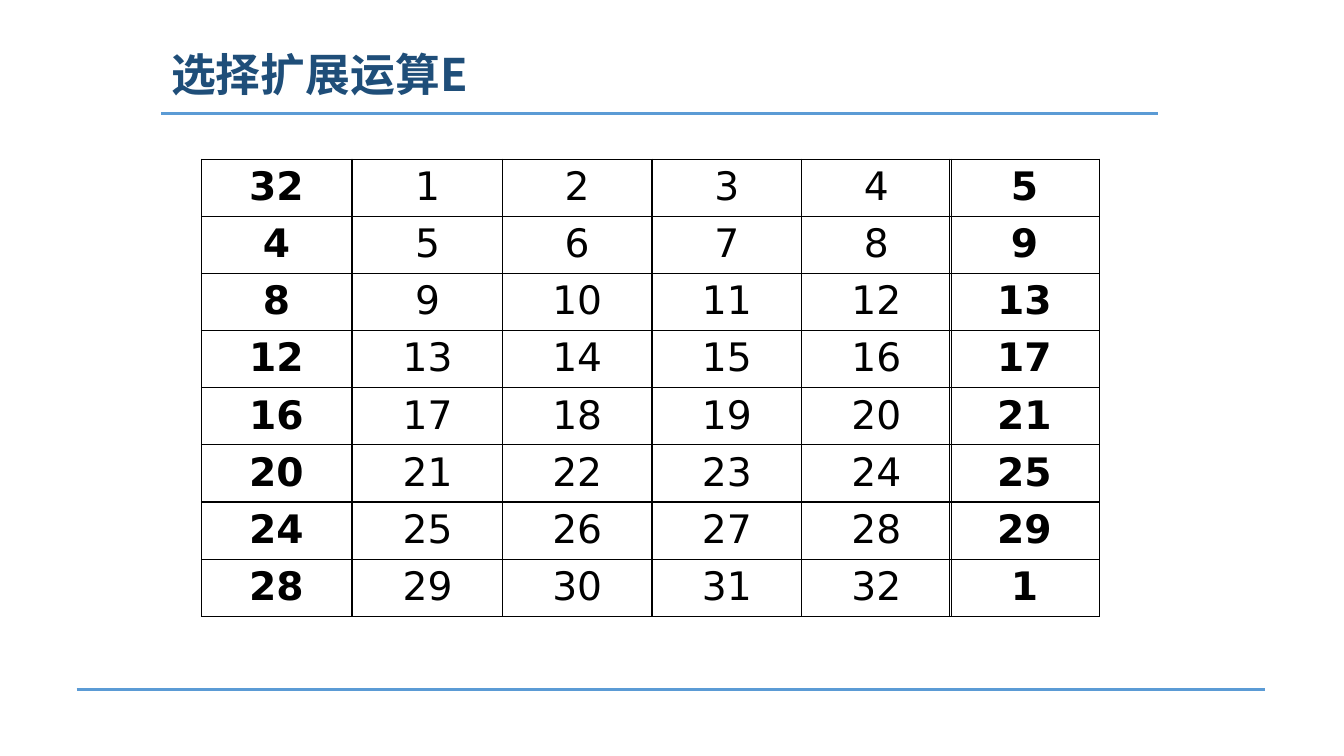
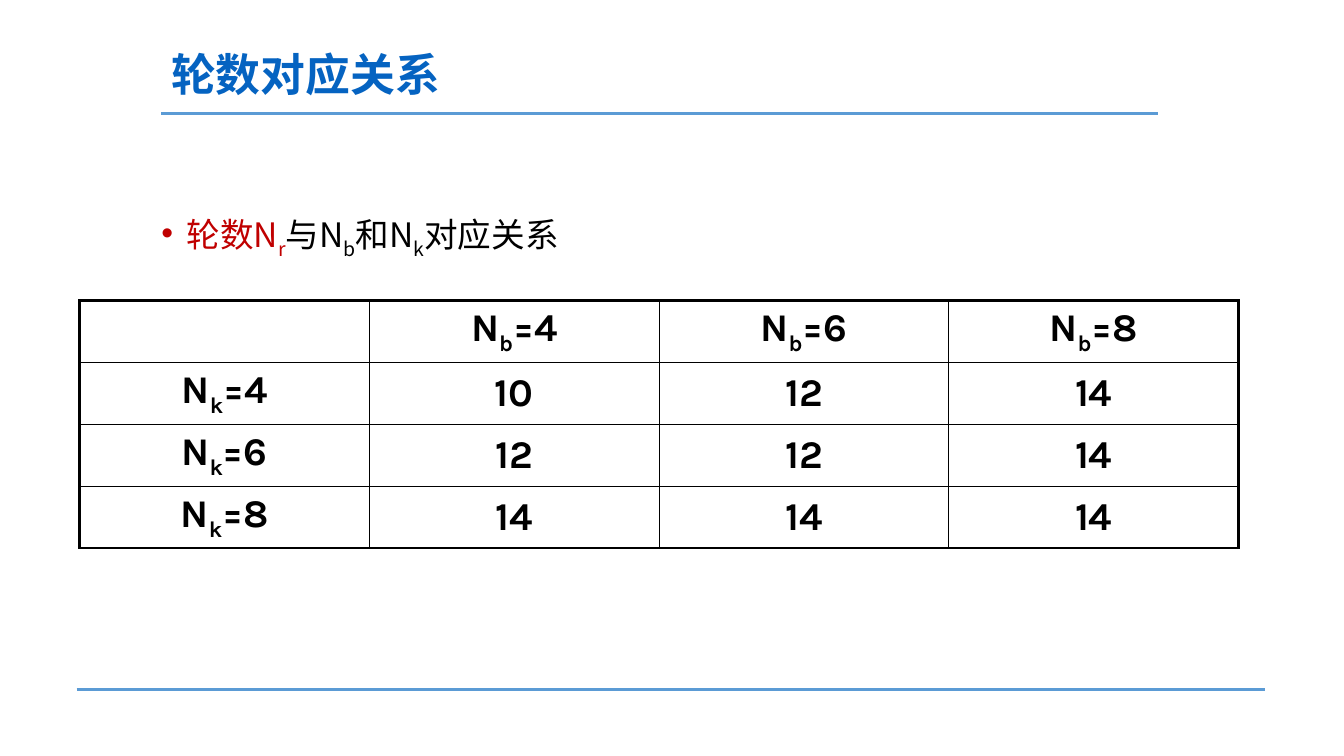
"""Build two slides with tables on a block cipher's expansion step and round counts."""
from lxml import etree
from pptx import Presentation
from pptx.dml.color import RGBColor
from pptx.enum.shapes import MSO_CONNECTOR
from pptx.enum.text import MSO_ANCHOR, PP_ALIGN
from pptx.oxml.ns import qn
from pptx.util import Cm, Pt

STRAIGHT = MSO_CONNECTOR.STRAIGHT
LEFT, CENTER = PP_ALIGN.LEFT, PP_ALIGN.CENTER
TOP, MIDDLE = MSO_ANCHOR.TOP, MSO_ANCHOR.MIDDLE

TEXT_FONT, NUMBER_FONT, ROUND_FONT = "Noto Sans CJK SC", "DejaVu Sans", "Karla"
BLACK, RED, RULE = "000000", "C00000", "5B9BD5"
THIN, THICK = 1, 2.25

TITLE_BOX = (4.06, 1.02, 25.1, 1.85)
RULES = [(4.06, 29.18, 2.87), (1.93, 31.88, 17.37)]

EXPANSION_TITLE = ("选择扩展运算E", "1F4E79")
BLOCK = [[str(4 * r + c) for c in range(1, 5)] for r in range(8)]
BEFORE = [[str(4 * r or 32)] for r in range(8)]
AFTER = [[str((4 * r + 4) % 32 + 1)] for r in range(8)]
EXPANSION_TABLES = [(8.89, BLOCK, False), (5.08, BEFORE, True), (23.93, AFTER, True)]

ROUNDS_TITLE = ("轮数对应关系", "0563C1")
ROUNDS_TEXT = [("轮数N_r", RED), ("与N_b和N_k对应关系", BLACK)]
ROUNDS = [
    ["", "N_b=4", "N_b=6", "N_b=8"],
    ["N_k=4", "10", "12", "14"],
    ["N_k=6", "12", "12", "14"],
    ["N_k=8", "14", "14", "14"],
]


def rgb(value):
    return RGBColor.from_string(value)


def place(shape, left, top, width, height):
    shape.left, shape.top = Cm(left), Cm(top)
    shape.width, shape.height = Cm(width), Cm(height)


def add_run(p, text, font, size, color, bold, subscript=False):
    r = p.add_run()
    r.text = text
    r.font.name, r.font.size, r.font.bold = font, Pt(size), bold
    r.font.color.rgb = rgb(color)
    rPr = r.font._element
    etree.SubElement(rPr, qn("a:ea"), typeface=font)
    if subscript:
        rPr.set("baseline", "-25000")


def write(p, text, font, size, color=BLACK, bold=False):
    """Add text in which an underscore lowers the next character."""
    first, *others = text.split("_")
    pieces = [(first, False)]
    for other in others:
        pieces += [(other[0], True), (other[1:], False)]
    for piece, subscript in pieces:
        if piece:
            add_run(p, piece, font, size, color, bold, subscript)


def set_borders(cell, widths):
    """Draw the left, right, top and bottom borders in the given points."""
    tcPr = cell._tc.get_or_add_tcPr()
    for i, (side, width) in enumerate(zip("LRTB", widths)):
        ln = etree.Element(qn(f"a:ln{side}"), w=str(Pt(width)))
        fill = etree.SubElement(ln, qn("a:solidFill"))
        etree.SubElement(fill, qn("a:srgbClr"), val=BLACK)
        tcPr.insert(i, ln)


def add_grid(s, rows, left, top, col_width, row_height, font, bold,
             outer=THIN, anchor=TOP):
    n_rows, n_cols = len(rows), len(rows[0])
    table = s.shapes.add_table(n_rows, n_cols, Cm(left), Cm(top),
                               Cm(col_width * n_cols), Cm(row_height * n_rows)).table
    table.first_row = table.horz_banding = False
    for column in table.columns:
        column.width = Cm(col_width)
    for i, row in enumerate(rows):
        table.rows[i].height = Cm(row_height)
        for j, text in enumerate(row):
            cell = table.cell(i, j)
            cell.fill.background()
            cell.vertical_anchor = anchor
            edges = (j == 0, j == n_cols - 1, i == 0, i == n_rows - 1)
            set_borders(cell, [outer if edge else THIN for edge in edges])
            p = cell.text_frame.paragraphs[0]
            p.alignment = CENTER
            write(p, text, font, 28, bold=bold)


def style_master(prs, s):
    """Set the shared title position and move the two rules to the master."""
    master = prs.slide_master
    title = master.placeholders[0]
    place(title, *TITLE_BOX)
    title.text_frame.vertical_anchor = MIDDLE
    for x1, x2, y in RULES:
        rule = s.shapes.add_connector(STRAIGHT, Cm(x1), Cm(y), Cm(x2), Cm(y))
        rule.line.color.rgb = rgb(RULE)
        rule.line.width = Pt(2.25)
        etree.SubElement(rule.element.spPr, qn("a:effectLst"))
        master.shapes.element.append(rule.element)


def add_slide(prs, layout, title):
    s = prs.slides.add_slide(prs.slide_layouts[layout])
    p = s.shapes.title.text_frame.paragraphs[0]
    p.alignment, p.line_spacing = LEFT, 0.9
    text, color = title
    write(p, text, TEXT_FONT, 32, color, True)
    return s


def add_bullet(body, parts):
    p = body.text_frame.paragraphs[0]
    p.line_spacing, p.space_before = 0.9, Pt(0)
    pPr = p._p.get_or_add_pPr()
    pPr.set("marL", str(Cm(0.64)))
    pPr.set("indent", str(-Cm(0.64)))
    etree.SubElement(pPr, qn("a:buChar"), char="•")
    for text, color in parts:
        write(p, text, TEXT_FONT, 24, color)


def main():
    prs = Presentation()
    prs.slide_width, prs.slide_height = Cm(33.87), Cm(19.05)

    s = add_slide(prs, 5, EXPANSION_TITLE)
    style_master(prs, s)
    for left, rows, bold in EXPANSION_TABLES:
        add_grid(s, rows, left, 4.01, 3.77, 1.44, NUMBER_FONT, bold)

    s = add_slide(prs, 1, ROUNDS_TITLE)
    body = s.placeholders[1]
    place(body, 3.81, 5.28, 16.02, 1.85)
    add_bullet(body, ROUNDS_TEXT)
    add_grid(s, ROUNDS, 2.01, 7.57, 7.3, 1.56, ROUND_FONT, True, THICK, MIDDLE)

    prs.save("out.pptx")


if __name__ == "__main__":
    main()
